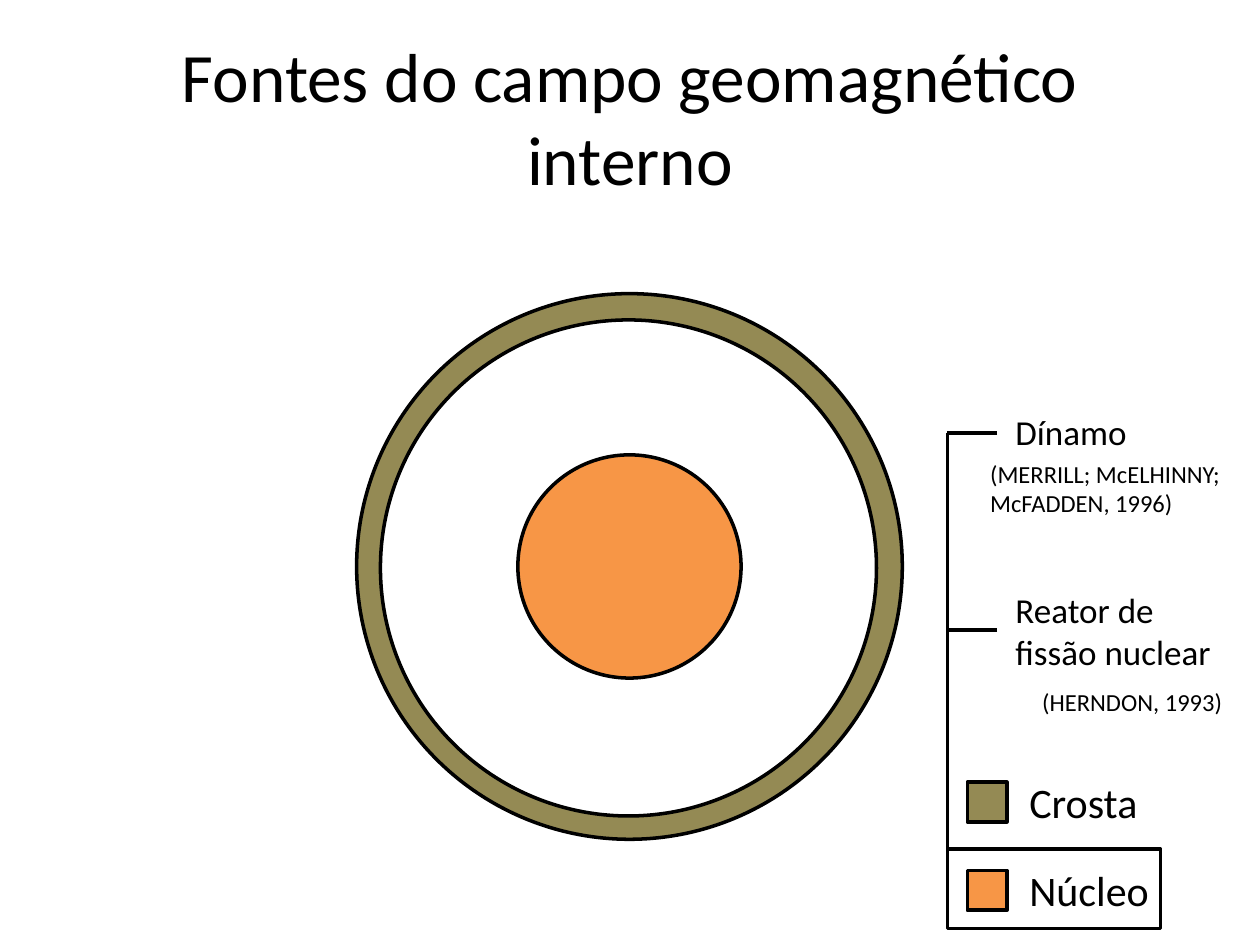
from pptx import Presentation
from pptx.dml.color import RGBColor
from pptx.enum.shapes import MSO_CONNECTOR as Link, MSO_SHAPE as Form
from pptx.enum.text import MSO_ANCHOR as Anchor, PP_ALIGN as Align
from pptx.oxml.ns import qn
from pptx.util import Cm, Pt
from lxml.etree import SubElement

BLACK, WHITE, OLIVE, ORANGE = "000000", "FFFFFF", "948A54", "F79646"


def color(code):
    return RGBColor.from_string(code)


class Page:
    """Holds the style and the current slide; lengths are in cm."""
    font = "Calibri"
    edge = 2
    stem = 2.25

    def __init__(self, deck):
        self.slide = deck.slides.add_slide(deck.slide_layouts[5])
        self.shapes = self.slide.shapes

    def fill_text(self, frame, lines, size, align):
        frame.word_wrap = True
        frame.text = "\n".join(lines)
        for par in frame.paragraphs:
            par.alignment = align
            par.font.name = self.font
            par.font.size = Pt(size)
            par.font.color.rgb = color(BLACK)

    def title(self, text, x, y, w, h):
        box = self.shapes.title
        box.left, box.top, box.width, box.height = map(Cm, (x, y, w, h))
        self.fill_text(box.text_frame, [text], 39.6, Align.CENTER)
        box.text_frame.vertical_anchor = Anchor.MIDDLE

    def text(self, lines, x, y, w, h, size, align=Align.LEFT):
        box = self.shapes.add_textbox(Cm(x), Cm(y), Cm(w), Cm(h))
        self.fill_text(box.text_frame, lines, size, align)

    def shape(self, form, x, y, w, h, fill=None):
        item = self.shapes.add_shape(form, Cm(x), Cm(y), Cm(w), Cm(h))
        item.shadow.inherit = False
        if fill:
            item.fill.solid()
            item.fill.fore_color.rgb = color(fill)
        else:
            item.fill.background()
        item.line.color.rgb = color(BLACK)
        item.line.width = Pt(self.edge)

    def disc(self, x, y, size, fill):
        """Circle around the centre x, y."""
        self.shape(Form.OVAL, x - size / 2, y - size / 2, size, size, fill)

    def line(self, x1, y1, x2, y2):
        item = self.shapes.add_connector(
            Link.STRAIGHT, Cm(x1), Cm(y1), Cm(x2), Cm(y2))
        item.line.color.rgb = color(BLACK)
        item.line.width = Pt(self.stem)
        SubElement(item._element.spPr, qn("a:effectLst"))


def main():
    deck = Presentation()
    deck.slide_width, deck.slide_height = Cm(25.4), Cm(19.05)
    page = Page(deck)
    page.title("Fontes do campo geomagnético interno", 1.27, 0.76, 22.86, 3.18)

    # Earth section: crust, mantle, core
    page.disc(12.69, 11.42, 11, OLIVE)
    page.disc(12.67, 11.45, 10, WHITE)
    page.disc(12.69, 11.42, 4.5, ORANGE)

    # Legend
    for name, fill, top, width in (("Crosta", OLIVE, 15.77, 2.8),
                                   ("Núcleo", ORANGE, 17.55, 3.4)):
        page.shape(Form.RECTANGLE, 19.5, top, 0.8, 0.8, fill)
        page.text([name], 20.5, top - 0.25, width, 1.27, 24)

    # Frame on the core entry, with a bracket up to its sources
    stem, tip, high = 19.1, 20.1, 8.72
    page.shape(Form.RECTANGLE, stem, 17.12, 4.3, 1.6)
    page.line(stem, 17.63, stem, high)
    for y in (high, 12.7):
        page.line(tip, y, stem, y)

    # Sources and their references
    page.text(["Dínamo"], 20.22, 8.15, 3.6, 1.12, 20)
    page.text(["(MERRILL; McELHINNY;", "McFADDEN, 1996)"],
              19.71, 9.12, 5.8, 1.45, 14)
    page.text(["Reator de fissão nuclear"], 20.22, 11.73, 4.67, 1.96, 20)
    page.text(["(HERNDON, 1993)"], 19.89, 13.72, 5, 0.86, 14, Align.RIGHT)

    deck.save("out.pptx")


if __name__ == "__main__":
    main()
